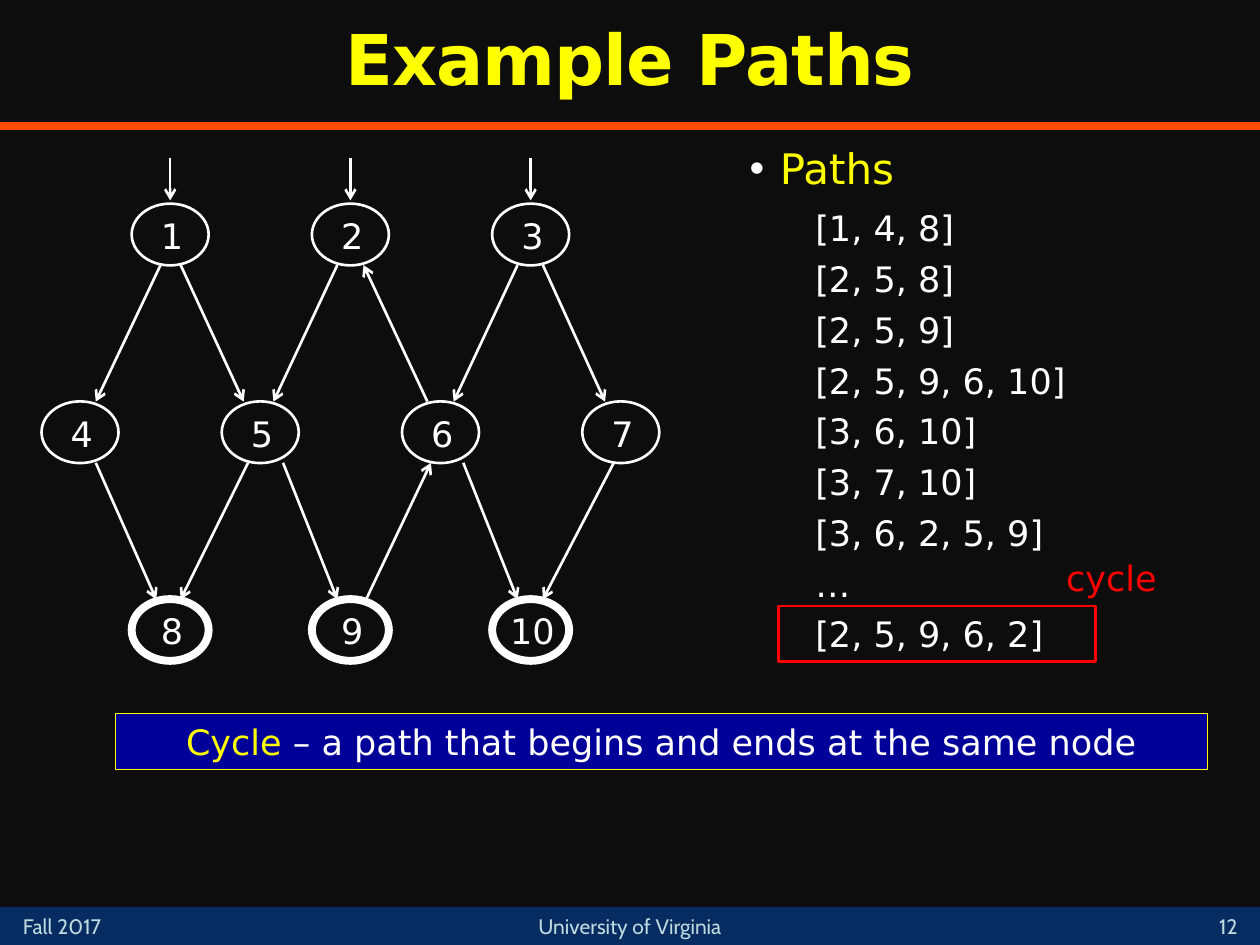
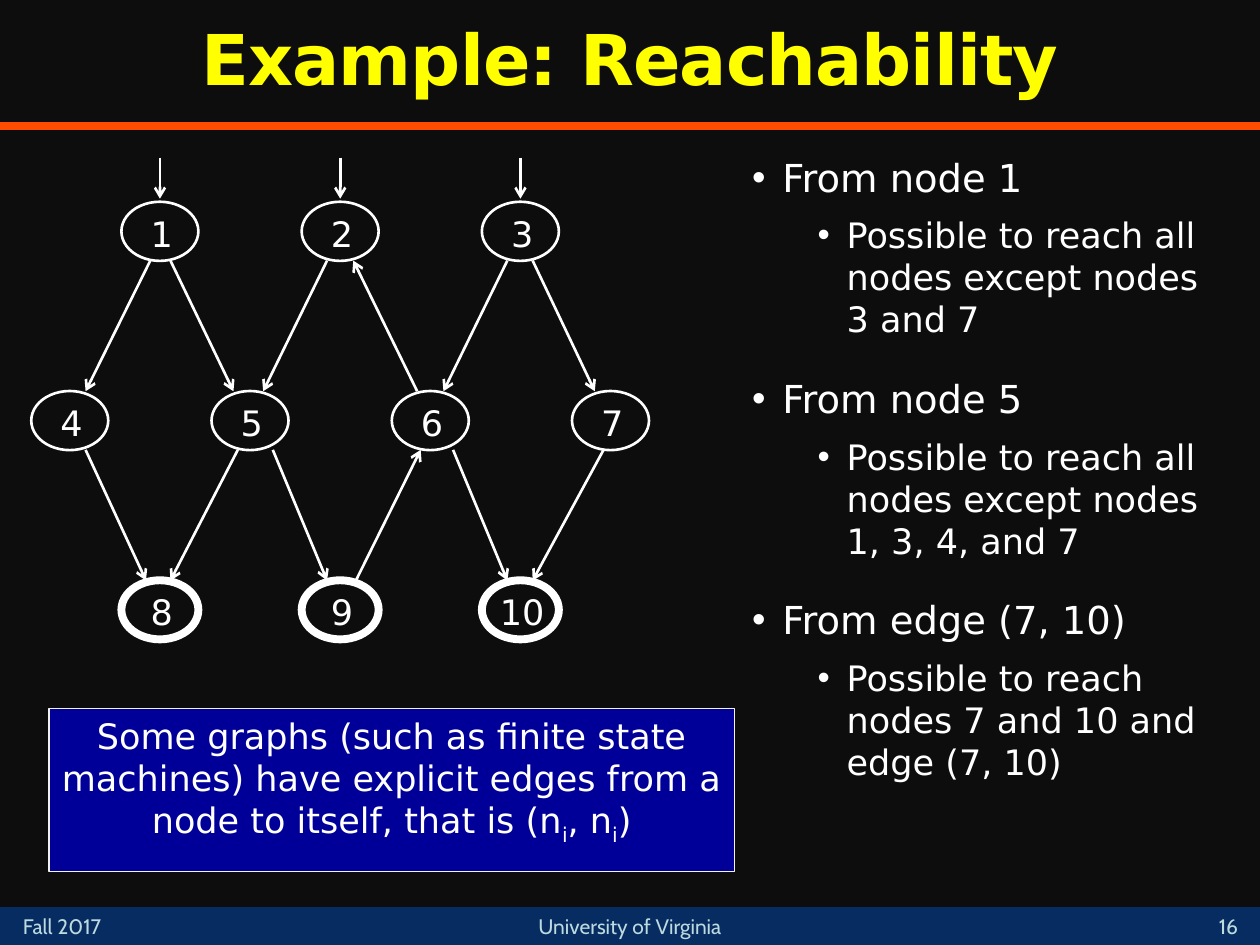
"""Build two slides on paths and reachability in a directed graph."""

import dataclasses
import typing

import lxml.etree
import pptx
import pptx.dml.color
import pptx.enum.shapes
import pptx.enum.text
import pptx.oxml.ns
import pptx.presentation
import pptx.slide
import pptx.util

Pt = pptx.util.Pt
Align = pptx.enum.text.PP_ALIGN
Anchor = pptx.enum.text.MSO_ANCHOR
Preset = pptx.enum.shapes.MSO_SHAPE

WIDTH, HEIGHT = 720, 540
BACKGROUND, WHITE, YELLOW, RED = "0D0D0D", "FFFFFF", "FFFF00", "FF0000"
BAND, FOOTER, RULE = "072C62", "BDDADF", "FF4C00"
CALLOUT, CALLOUT_EDGE = "000099", "F2F2F2"
BODY_FONT, FOOTER_FONT = "DejaVu Sans", "Cabin"

COLUMN_STEP, ROW_STEP = 51.5, 113
NODE_WIDTH, NODE_HEIGHT = 44, 35.3


@dataclasses.dataclass(frozen=True)
class Box:
    """A rectangle in points."""

    left: float
    top: float
    width: float
    height: float

    def lengths(self) -> tuple[pptx.util.Length, ...]:
        """Return the four lengths for python-pptx."""
        return tuple(Pt(value) for value in dataclasses.astuple(self))


@dataclasses.dataclass(frozen=True)
class Node:
    """A graph node on a grid of columns and rows."""

    column: int
    row: int


@dataclasses.dataclass(frozen=True)
class Edge:
    """A directed edge with the sideways inset of both its ends."""

    source: int
    target: int
    start_inset: float = 7.5
    end_inset: float = 7.5


@dataclasses.dataclass(frozen=True)
class Level:
    """The format of one list level."""

    depth: int
    size: float
    left: float
    indent: float
    before: float
    after: float = 0
    bullet: str = ""


NODES = {
    1: Node(1, 0), 2: Node(3, 0), 3: Node(5, 0),
    4: Node(0, 1), 5: Node(2, 1), 6: Node(4, 1), 7: Node(6, 1),
    8: Node(1, 2), 9: Node(3, 2), 10: Node(5, 2),
}
EDGES = [
    Edge(1, 4, 5.5, 9), Edge(1, 5, 6, 9.5), Edge(2, 5), Edge(6, 2),
    Edge(3, 6), Edge(3, 7, 7, 9), Edge(4, 8, 9, 8), Edge(5, 8, 7, 6),
    Edge(5, 9, 13), Edge(9, 6, 9, 5.5), Edge(6, 10, 13), Edge(7, 10, 4, 7),
]
HEADING = Level(0, 24, 18, -17.3, 20, 3, "•")
TOPIC = dataclasses.replace(HEADING, size=22)
DETAIL = Level(1, 20, 54.7, -16.6, 5, bullet="•")
PATH = Level(1, 20, 38.2, 0, 5)

PATHS = [
    "[1, 4, 8]", "[2, 5, 8]", "[2, 5, 9]", "[2, 5, 9, 6, 10]", "[3, 6, 10]",
    "[3, 7, 10]", "[3, 6, 2, 5, 9]", "…", "[2, 5, 9, 6, 2]",
]
REACHABLE = {
    "From node 1": "Possible to reach all nodes except nodes 3 and 7",
    "From node 5": "Possible to reach all nodes except nodes 1, 3, 4, and 7",
    "From edge (7, 10)": "Possible to reach nodes 7 and 10 and edge (7, 10)",
}


def rgb(value: str) -> pptx.dml.color.RGBColor:
    """Turn a hex string into a colour."""
    return pptx.dml.color.RGBColor.from_string(value)


def add_element(parent: typing.Any, tag: str, **attributes: str) -> typing.Any:
    """Append a drawing element to its parent."""
    return lxml.etree.SubElement(parent, pptx.oxml.ns.qn(tag), attributes)


def write(paragraph: typing.Any, text: str, *, size: float = 20, color: str = WHITE,
          font: str = BODY_FONT, bold: bool = False, spacing: float = 0,
          baseline: int = 0) -> None:
    """Add a formatted run to a paragraph."""
    run = paragraph.add_run()
    run.text = text
    run.font.size, run.font.name, run.font.bold = Pt(size), font, bold
    run.font.color.rgb = rgb(color)
    properties = run.font._element
    if spacing:
        properties.set("spc", str(round(spacing * 100)))
    if baseline:
        properties.set("baseline", str(baseline * 1000))


def add_item(frame: typing.Any, text: str, level: Level, color: str = WHITE) -> None:
    """Add one list paragraph to a text frame."""
    paragraph = frame.paragraphs[0] if not frame.text else frame.add_paragraph()
    paragraph.level = level.depth
    paragraph.space_before, paragraph.space_after = Pt(level.before), Pt(level.after)
    properties = paragraph._element.get_or_add_pPr()
    properties.set("marL", str(Pt(level.left)))
    properties.set("indent", str(Pt(level.indent)))
    if level.bullet:
        bullet_color = add_element(properties, "a:buClr")
        add_element(bullet_color, "a:srgbClr", val=WHITE)
        add_element(properties, "a:buChar", char=level.bullet)
    else:
        add_element(properties, "a:buNone")
    write(paragraph, text, size=level.size, color=color)


def add_text(shapes: typing.Any, box: Box, text: str, *, align: Align = Align.CENTER,
             anchor: Anchor = Anchor.TOP, wrap: bool = True,
             **run_format: typing.Any) -> None:
    """Add a text box with one paragraph."""
    frame = shapes.add_textbox(*box.lengths()).text_frame
    frame.word_wrap, frame.vertical_anchor = wrap, anchor
    frame.paragraphs[0].alignment = align
    write(frame.paragraphs[0], text, **run_format)


def add_figure(shapes: typing.Any, preset: Preset, box: Box, *, fill: str = "",
               line: str = "", line_width: float = 1.5) -> typing.Any:
    """Add a flat preset shape."""
    shape = shapes.add_shape(preset, *box.lengths())
    shape.shadow.inherit = False
    if fill:
        shape.fill.solid()
        shape.fill.fore_color.rgb = rgb(fill)
    else:
        shape.fill.background()
    if line:
        shape.line.color.rgb, shape.line.width = rgb(line), Pt(line_width)
    else:
        shape.line.fill.background()
    return shape


def add_line(shapes: typing.Any, start: tuple[float, float], end: tuple[float, float],
             *, color: str = WHITE, width: float = 1.5, arrow: bool = True) -> None:
    """Add a straight line, by default with an arrowhead at its end."""
    connector = shapes.add_connector(
        pptx.enum.shapes.MSO_CONNECTOR.STRAIGHT, *(Pt(value) for value in start + end))
    connector.line.color.rgb, connector.line.width = rgb(color), Pt(width)
    properties = connector._element.spPr
    if arrow:
        add_element(properties.find(pptx.oxml.ns.qn("a:ln")), "a:tailEnd", type="arrow")
    add_element(properties, "a:effectLst")


def draw_graph(slide: pptx.slide.Slide, left: float, top: float, scale: float) -> None:
    """Draw the graph with node 4 centred on left and node 1 centred on top."""
    shapes = slide.shapes.add_group_shape().shapes
    centers = {
        number: (left + COLUMN_STEP * node.column, top + ROW_STEP * scale * node.row)
        for number, node in NODES.items()
    }
    node_height = NODE_HEIGHT * scale
    for number, (x, y) in centers.items():
        row = NODES[number].row
        box = Box(x - NODE_WIDTH / 2, y - node_height / 2, NODE_WIDTH, node_height)
        add_figure(shapes, Preset.OVAL, box, line=WHITE, line_width=4.5 if row == 2 else 1.5)
        label_width = 27 if number < 10 else 40
        label = Box(x + 1 - label_width / 2, y - 15 * scale, label_width, 30 * scale)
        add_text(shapes, label, str(number), wrap=False)
        if row == 0:
            add_line(shapes, (x, y - 44 * scale), (x, y - 19.5 * scale))
    for edge in EDGES:
        (start_x, start_y), (end_x, end_y) = centers[edge.source], centers[edge.target]
        across = 1 if end_x > start_x else -1
        down = 17.5 * scale * (1 if end_y > start_y else -1)
        add_line(shapes, (start_x + across * edge.start_inset, start_y + down),
                 (end_x - across * edge.end_inset, end_y - down))


def add_slide(presentation: pptx.presentation.Presentation, title: str, number: int,
              body_box: Box) -> tuple[pptx.slide.Slide, typing.Any]:
    """Add a slide with band, rule, footers and title; return it and its body frame."""
    slide = presentation.slides.add_slide(presentation.slide_layouts[1])
    shapes = slide.shapes
    add_figure(shapes, Preset.RECTANGLE, Box(0, 518.4, WIDTH, 21.6), fill=BAND)
    add_line(shapes, (0, 72), (WIDTH, 72), color=RULE, width=4.5, arrow=False)
    footer = {"size": 12, "font": FOOTER_FONT, "color": FOOTER}
    add_text(shapes, Box(6, 518.4, 84, 21.6), "Fall 2017", align=Align.LEFT, **footer)
    add_text(shapes, Box(264, 518.4, 192, 21.6), "University of Virginia", **footer)
    add_text(shapes, Box(684, 516, 36, 24), str(number), anchor=Anchor.BOTTOM, **footer)

    body = slide.placeholders[1]
    for placeholder, box in ((shapes.title, Box(0, 0, WIDTH, 72)), (body, body_box)):
        (placeholder.left, placeholder.top,
         placeholder.width, placeholder.height) = box.lengths()
        placeholder.text_frame.auto_size = pptx.enum.text.MSO_AUTO_SIZE.NONE
    shapes.title.text_frame.vertical_anchor = Anchor.MIDDLE
    paragraph = shapes.title.text_frame.paragraphs[0]
    paragraph.alignment, paragraph.line_spacing = Align.CENTER, 0.9
    write(paragraph, title, size=40, color=YELLOW, bold=True, spacing=-0.5)
    return slide, body.text_frame


def add_callout(slide: pptx.slide.Slide, box: Box, line: str) -> typing.Any:
    """Add a blue callout and return its centred paragraph."""
    shape = add_figure(slide.shapes, Preset.RECTANGLE, box, fill=CALLOUT,
                       line=line, line_width=0.75)
    shape.text_frame.word_wrap = True
    shape.text_frame.vertical_anchor = Anchor.TOP
    paragraph = shape.text_frame.paragraphs[0]
    paragraph.alignment = Align.CENTER
    return paragraph


def build_paths_slide(presentation: pptx.presentation.Presentation) -> None:
    """Build the slide that lists example paths."""
    slide, body = add_slide(presentation, "Example Paths", 12, Box(420.5, 77.8, 275, 396))
    draw_graph(slide, 45.75, 134, 1)
    add_item(body, "Paths", HEADING, YELLOW)
    for path_text in PATHS:
        add_item(body, path_text, PATH)
    paragraph = add_callout(slide, Box(66, 407.9, 624, 32), YELLOW)
    write(paragraph, "Cycle", color=YELLOW)
    write(paragraph, " – a path that begins and ends at the same node")
    cycle_mark = slide.shapes.add_group_shape().shapes
    add_figure(cycle_mark, Preset.RECTANGLE, Box(444.7, 346.3, 181.5, 31.7), line=RED)
    add_text(cycle_mark, Box(596.2, 314.6, 77.8, 31.7), "cycle", color=RED)


def build_reachability_slide(presentation: pptx.presentation.Presentation) -> None:
    """Build the slide on what can be reached from where."""
    slide, body = add_slide(presentation, "Example: Reachability", 16,
                            Box(421.9, 84.2, 285.8, 396))
    draw_graph(slide, 39.9, 132.2, 0.957)
    for topic, detail in REACHABLE.items():
        add_item(body, topic, TOPIC)
        add_item(body, detail, DETAIL)
    paragraph = add_callout(slide, Box(28, 404.8, 391.7, 93.2), CALLOUT_EDGE)
    write(paragraph, "Some graphs (such as finite state machines) have explicit "
                     "edges from a node to itself, that is (n")
    write(paragraph, "i", baseline=-25)
    write(paragraph, ", n")
    write(paragraph, "i", baseline=-25)
    write(paragraph, ")")


def main() -> None:
    """Build and save the presentation."""
    presentation = pptx.Presentation()
    presentation.slide_width, presentation.slide_height = Pt(WIDTH), Pt(HEIGHT)
    background = presentation.slide_master.background.fill
    background.solid()
    background.fore_color.rgb = rgb(BACKGROUND)
    build_paths_slide(presentation)
    build_reachability_slide(presentation)
    presentation.save("out.pptx")


main()
